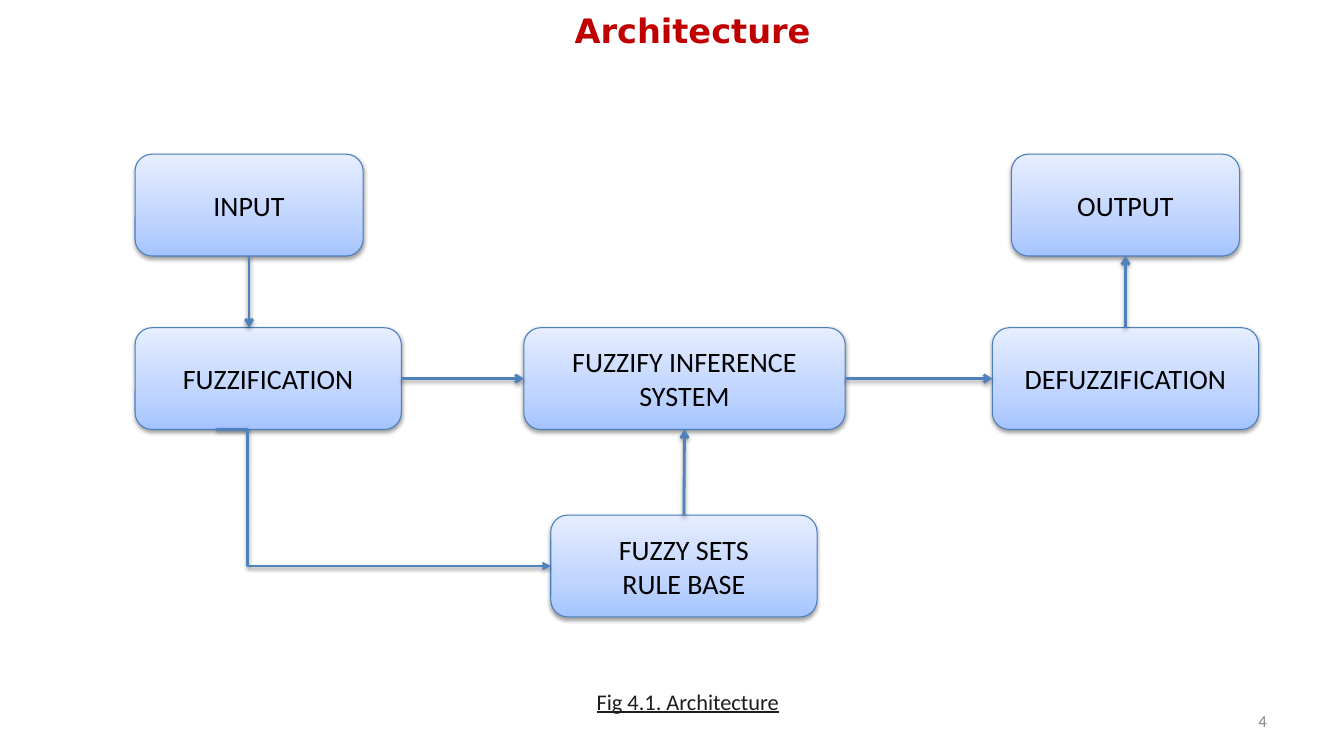
from lxml import etree
from pptx import Presentation
from pptx.dml.color import RGBColor
from pptx.enum.shapes import MSO_CONNECTOR, MSO_SHAPE
from pptx.enum.text import MSO_ANCHOR, PP_ALIGN
from pptx.oxml import parse_xml
from pptx.oxml.ns import nsdecls, qn
from pptx.util import Emu, Inches, Pt

SLIDE_W, SLIDE_H = Inches(13.33), Inches(7.5)
SLIDE_BOX = (0, 0, SLIDE_W, SLIDE_H)
TOP, LEFT, BOTTOM, RIGHT = range(4)
ROW_H = 0.22
ROWS = (0, 0.375, 0.78)
NARROW, MEDIUM, WIDE = 0.203, 0.237, 0.286
STAGES = {
    "input": ("INPUT", 0, 0, NARROW),
    "fuzzify": ("FUZZIFICATION", 0, 1, MEDIUM),
    "inference": ("FUZZIFY INFERENCE SYSTEM", 0.346, 1, WIDE),
    "rules": ("FUZZY SETS\nRULE BASE", 0.37, 2, MEDIUM),
    "defuzzify": ("DEFUZZIFICATION", 0.763, 1, MEDIUM),
    "output": ("OUTPUT", 0.78, 0, NARROW),
}
GRADIENT = ((0, "A4C4FF"), (35, "BFD4FF"), (100, "E6EEFF"))


def color(hex_value):
    """Turn a hex string into a colour."""
    return RGBColor.from_string(hex_value)


def share(box, left, top, width, height):
    """Return the part of a box given by shares of its size."""
    x, y, w, h = box
    return tuple(Emu(round(v)) for v in (x + left * w, y + top * h, width * w, height * h))


def write(shape, text, size, hex_value, font="Calibri", align=PP_ALIGN.LEFT,
          anchor=MSO_ANCHOR.TOP, bold=False, underline=False):
    """Put formatted text into a shape, one paragraph per line."""
    frame = shape.text_frame
    frame.text = text
    frame.word_wrap = True
    frame.vertical_anchor = anchor
    for paragraph in frame.paragraphs:
        paragraph.alignment = align
        style = paragraph.runs[0].font
        style.name, style.size, style.bold = font, Pt(size), bold
        style.underline = underline
        style.color.rgb = color(hex_value)


def add_shadow(shape):
    """Give a shape the soft shadow that falls straight down."""
    shape._element.spPr.append(parse_xml(
        f'<a:effectLst {nsdecls("a")}>'
        '<a:outerShdw blurRad="40000" dist="20000" dir="5400000" rotWithShape="0">'
        '<a:srgbClr val="000000"><a:alpha val="38000"/></a:srgbClr>'
        '</a:outerShdw></a:effectLst>'))


def add_stage(slide, box, text):
    """Draw one rounded stage with an upward gradient."""
    stage = slide.shapes.add_shape(MSO_SHAPE.ROUNDED_RECTANGLE, *box)
    stops = "".join(f'<a:gs pos="{at * 1000}"><a:srgbClr val="{tone}"/></a:gs>'
                    for at, tone in GRADIENT)
    stage._element.spPr.append(parse_xml(
        f'<a:gradFill {nsdecls("a")} rotWithShape="1"><a:gsLst>{stops}</a:gsLst>'
        '<a:lin ang="16200000" scaled="0"/></a:gradFill>'))
    stage.line.color.rgb = color("4B7EBC")
    stage.line.width = Pt(0.75)
    add_shadow(stage)
    write(stage, text, 20, "000000", align=PP_ALIGN.CENTER, anchor=MSO_ANCHOR.MIDDLE)
    return stage


def site(shape, side):
    """Return the middle of one side of a shape."""
    across = {LEFT: 0, RIGHT: 1}.get(side, 0.5)
    down = {TOP: 0, BOTTOM: 1}.get(side, 0.5)
    return (Emu(round(shape.left + across * shape.width)),
            Emu(round(shape.top + down * shape.height)))


def add_arrow(slide, start, end, kind=MSO_CONNECTOR.STRAIGHT, head="arrow"):
    """Draw an arrow between two points."""
    arrow = slide.shapes.add_connector(kind, *start, *end)
    arrow.line.color.rgb = color("4F81BD")
    arrow.line.width = Pt(2)
    etree.SubElement(arrow.line._get_or_add_ln(), qn("a:tailEnd"), type=head)
    add_shadow(arrow)
    return arrow


def add_diagram(slide, box):
    """Draw the stages and the flow between them."""
    stages = {name: add_stage(slide, share(box, left, ROWS[row], width, ROW_H), text)
              for name, (text, left, row, width) in STAGES.items()}
    source, fuzzify = stages["input"], stages["fuzzify"]
    start = site(source, BOTTOM)
    add_arrow(slide, start, (start[0], fuzzify.top)).begin_connect(source, BOTTOM)
    for first, side, second, other in (
            ("fuzzify", RIGHT, "inference", LEFT),
            ("rules", TOP, "inference", BOTTOM),
            ("inference", RIGHT, "defuzzify", LEFT),
            ("defuzzify", TOP, "output", BOTTOM)):
        tail, tip = stages[first], stages[second]
        arrow = add_arrow(slide, site(tail, side), site(tip, other))
        arrow.begin_connect(tail, side)
        arrow.end_connect(tip, other)
    corner = share(box, 0.072, ROWS[1] + ROW_H, 0, 0)[:2]
    bent = add_arrow(slide, corner, site(stages["rules"], LEFT), MSO_CONNECTOR.ELBOW, "triangle")
    bent.end_connect(stages["rules"], LEFT)
    guides = bent._element.spPr.find(qn("a:prstGeom")).get_or_add_avLst()
    etree.SubElement(guides, qn("a:gd"), name="adj1", fmla="val 9500")


def add_title(slide, box):
    """Place and format the title placeholder."""
    title = slide.shapes.title
    title.left, title.top, title.width, title.height = box
    write(title, "Architecture", 24, "C00000", "DejaVu Sans", bold=True)


def add_label(slide, box, text, size, hex_value, **style):
    """Add a line of text in a box."""
    write(slide.shapes.add_textbox(*box), text, size, hex_value, **style)


def build_architecture(slide, box):
    """Lay out the title, diagram, caption and page number."""
    add_title(slide, share(box, 0.42, 0.007, 0.448, 0.067))
    add_diagram(slide, share(box, 0.1005, 0.204, 0.836, 0.612))
    add_label(slide, share(box, 0.4365, 0.903, 0.5, 0.049), "Fig 4.1. Architecture",
              16, "1D1D1F", underline=True)
    add_label(slide, share(box, 0.717, 0.927, 0.233, 0.053), "4", 12, "898989",
              align=PP_ALIGN.RIGHT, anchor=MSO_ANCHOR.MIDDLE)


deck = Presentation()
deck.slide_width, deck.slide_height = SLIDE_W, SLIDE_H
build_architecture(deck.slides.add_slide(deck.slide_layouts[5]), SLIDE_BOX)
deck.save("out.pptx")
